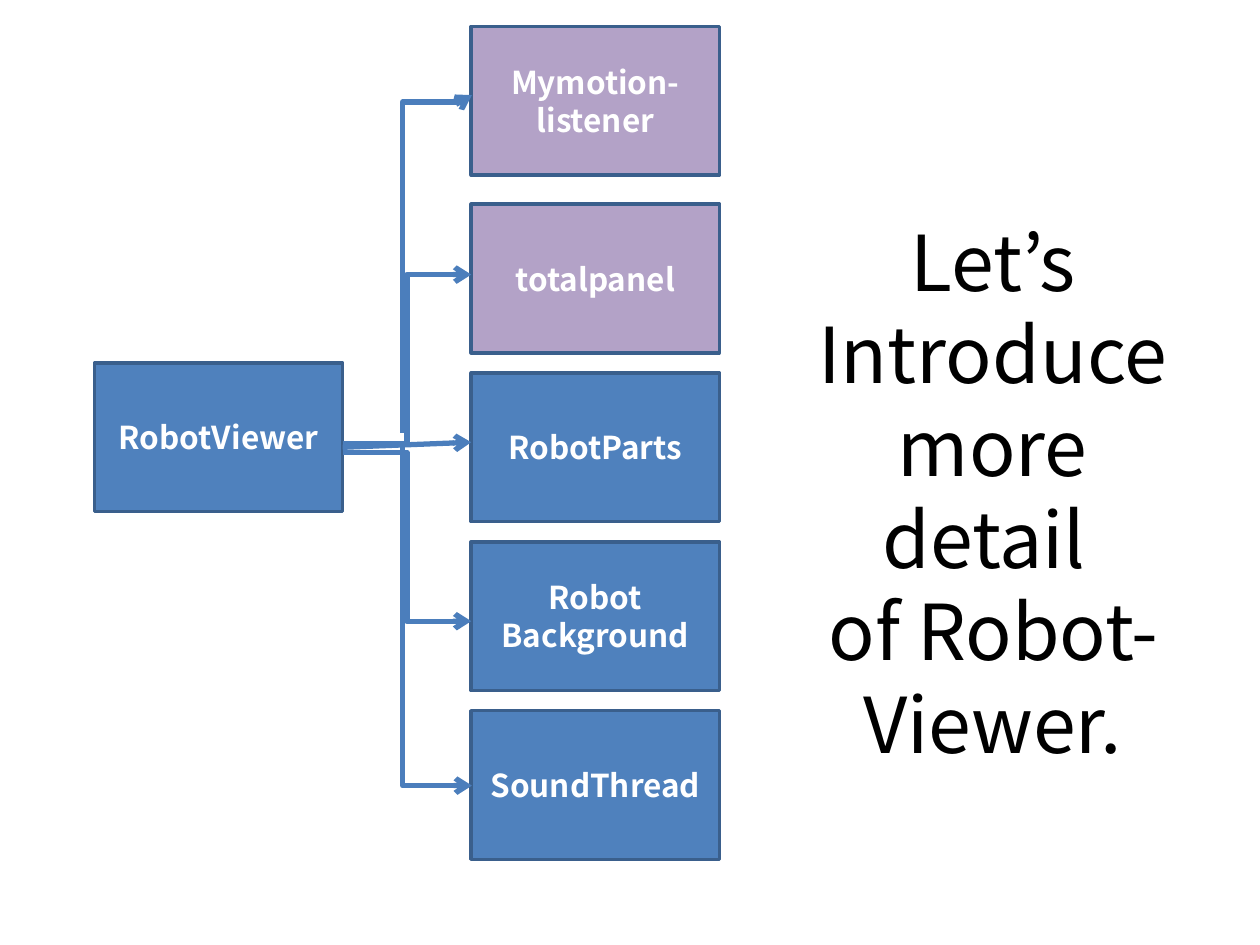
from dataclasses import dataclass
from lxml.etree import SubElement
from pptx import Presentation
from pptx.dml.color import RGBColor
from pptx.enum.shapes import MSO_CONNECTOR, MSO_SHAPE
from pptx.enum.text import MSO_ANCHOR, PP_ALIGN
from pptx.oxml.ns import qn
from pptx.util import Inches, Pt


@dataclass
class Theme:
    font = "Noto Sans CJK KR"
    blue = RGBColor.from_string("4F81BD")
    purple = RGBColor.from_string("B3A2C7")
    outline = RGBColor.from_string("3A5F8C")
    arrow = RGBColor.from_string("4B7EBC")
    white = RGBColor.from_string("FFFFFF")
    black = RGBColor.from_string("000000")
    title_size = Pt(44)
    label_size = Pt(18)


theme = Theme()


def add_span(para, text, size, color, bold):
    para.alignment = PP_ALIGN.CENTER
    span = para.add_run()
    span.text = text
    span.font.name = theme.font
    span.font.size = size
    span.font.bold = bold
    span.font.color.rgb = color


deck = Presentation()
deck.slide_width, deck.slide_height = Inches(10), Inches(7.5)
page = deck.slides.add_slide(deck.slide_layouts[5])

# Title on the right
title = page.shapes.title
title.left, title.top = Inches(6.26), Inches(0.3)
title.width, title.height = Inches(3.24), Inches(7.2)
title.text_frame.word_wrap = True
title.text_frame.vertical_anchor = MSO_ANCHOR.MIDDLE
para = title.text_frame.paragraphs[0]
for index, line in enumerate(["Let’s", "Introduce more detail ", "of Robot-Viewer."]):
    if index:
        para.add_line_break()
    add_span(para, line, theme.title_size, theme.black, False)

# Class boxes: the viewer and the five parts it uses
part_left = 3.74
boxes = [
    (0.75, 2.88, theme.blue, ["RobotViewer"]),
    (part_left, 0.21, theme.purple, ["Mymotion-", "listener"]),
    (part_left, 1.62, theme.purple, ["totalpanel"]),
    (part_left, 2.96, theme.blue, ["RobotParts"]),
    (part_left, 4.3, theme.blue, ["Robot", "Background"]),
    (part_left, 5.64, theme.blue, ["SoundThread"]),
]
for left, top, fill, lines in boxes:
    box = page.shapes.add_shape(
        MSO_SHAPE.RECTANGLE, Inches(left), Inches(top), Inches(1.97), Inches(1.18))
    box.shadow.inherit = False
    box.fill.solid()
    box.fill.fore_color.rgb = fill
    box.line.color.rgb = theme.outline
    box.line.width = Pt(2)
    frame = box.text_frame
    frame.word_wrap = True
    frame.vertical_anchor = MSO_ANCHOR.MIDDLE
    for index, line in enumerate(lines):
        para = frame.add_paragraph() if index else frame.paragraphs[0]
        add_span(para, line, theme.label_size, theme.white, True)

# Arrows: preset, left, top, width, height, turn in degrees, flips, bend
arrows = [
    ("bentConnector3", 2.72, 2.18, 1.02, 1.34, 0, "V", 0.5),
    ("line", 2.72, 3.51, 1.02, 0.04, 0, "V", None),
    ("bentConnector3", 2.72, 3.59, 1.02, 1.34, 0, "", 0.5),
    ("bentConnector3", 2.13, 1.82, 2.68, 0.55, 90, "HV", 0.98),
    ("bentConnector2", 2.11, 4.6, 2.72, 0.55, 270, "H", None),
]
for preset, left, top, width, height, turn, flips, bend in arrows:
    kind = MSO_CONNECTOR.STRAIGHT if preset == "line" else MSO_CONNECTOR.ELBOW
    arrow = page.shapes.add_connector(
        kind, Inches(left), Inches(top), Inches(left + width), Inches(top + height))
    arrow.line.color.rgb = theme.arrow
    arrow.line.width = Pt(3)
    properties = arrow._element.spPr
    frame = properties.find(qn("a:xfrm"))
    if turn:
        frame.set("rot", str(turn * 60000))
    for flip in flips:
        frame.set("flip" + flip, "1")
    geometry = properties.find(qn("a:prstGeom"))
    geometry.set("prst", preset)
    if bend is not None:
        guide = SubElement(geometry.find(qn("a:avLst")), qn("a:gd"))
        guide.set("name", "adj1")
        guide.set("fmla", f"val {round(bend * 100000)}")
    SubElement(properties.find(qn("a:ln")), qn("a:tailEnd")).set("type", "arrow")
    SubElement(properties, qn("a:effectLst"))

deck.save("out.pptx")
